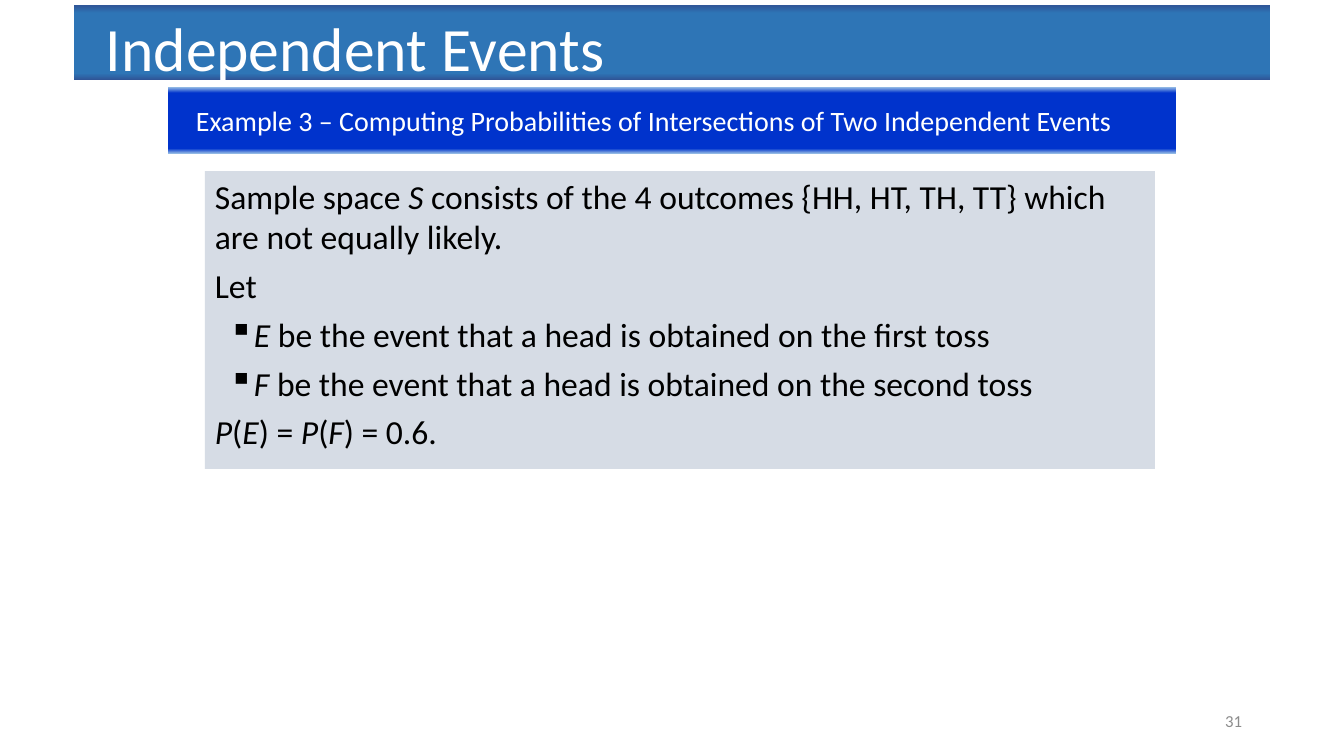
from lxml import etree
from pptx import Presentation, util as u
from pptx.dml.color import RGBColor
from pptx.enum import shapes, text
from pptx.oxml import ns

PX = 914400 / 100.8
FONT = "Calibri"
WHITE, BLACK, GREY = "FFFFFF", "000000", "8C8C8C"
PANEL_FILL = "D6DCE5"
TITLE_STOPS = [(0, "2F5597"), (11, "2E75B6"), (91, "2E75B6"), (100, "2F5597")]
EXAMPLE_STOPS = [(0, "9DC3E6"), (9, "0033CC"), (92, "0033CC"), (100, "9DC3E6")]

# Text between asterisks is italic; the flag marks a bulleted paragraph.
PROBLEM = [
    ("Sample space *S* consists of the 4 outcomes {HH, HT, TH, TT} "
     "which are not equally likely.", False),
    ("Let", False),
    ("*E* be the event that a head is obtained on the first toss", True),
    ("*F* be the event that a head is obtained on the second toss", True),
    ("*P*(*E*) = *P*(*F*) = 0.6.", False),
]


def px(length):
    return u.Emu(round(length * PX))


def color(hex_value):
    return RGBColor.from_string(hex_value)


def add_runs(paragraph, marked_text, size, hex_value):
    """Add one run per piece, with italics between asterisks."""
    for index, piece in enumerate(marked_text.split("*")):
        if piece:
            run = paragraph.add_run()
            run.text = piece
            font = run.font
            font.name, font.size = FONT, u.Pt(size)
            font.italic = index % 2 == 1
            font.color.rgb = color(hex_value)


def set_indent(paragraph, left, first=0):
    properties = paragraph._p.get_or_add_pPr()
    properties.set("marL", str(px(left)))
    properties.set("indent", str(px(first)))


def add_bullet(paragraph, character):
    properties = paragraph._p.get_or_add_pPr()
    etree.SubElement(properties, ns.qn("a:buChar")).set("char", character)


def fill_gradient(shape, stops):
    """Fill from top to bottom with (percent, colour) stops."""
    shape.fill.gradient()
    gradient = shape._element.spPr.find(ns.qn("a:gradFill"))
    stop_list = gradient.find(ns.qn("a:gsLst"))
    for stop in list(stop_list):
        stop_list.remove(stop)
    for percent, hex_value in stops:
        stop = etree.SubElement(stop_list, ns.qn("a:gs"), pos=str(percent * 1000))
        etree.SubElement(stop, ns.qn("a:srgbClr"), val=hex_value)
    gradient.find(ns.qn("a:lin")).set("ang", "5400000")


def add_rectangle(slide, left, top, width, height, anchor):
    shape = slide.shapes.add_shape(shapes.MSO_SHAPE.RECTANGLE,
                                   px(left), px(top), px(width), px(height))
    shape.shadow.inherit = False
    shape.line.fill.background()
    shape.text_frame.word_wrap = True
    shape.text_frame.vertical_anchor = anchor
    return shape


def add_banner(slide, box, stops, wording, size, indent, anchor):
    shape = add_rectangle(slide, *box, anchor)
    fill_gradient(shape, stops)
    paragraph = shape.text_frame.paragraphs[0]
    paragraph.alignment = text.PP_ALIGN.LEFT
    set_indent(paragraph, indent)
    add_runs(paragraph, wording, size, WHITE)


def add_problem_panel(slide, box, lines):
    shape = add_rectangle(slide, *box, text.MSO_ANCHOR.TOP)
    shape.fill.solid()
    shape.fill.fore_color.rgb = color(PANEL_FILL)
    frame = shape.text_frame
    for index, (wording, bulleted) in enumerate(lines):
        paragraph = frame.add_paragraph() if index else frame.paragraphs[0]
        paragraph.alignment = text.PP_ALIGN.LEFT
        paragraph.space_after = u.Pt(6)
        if bulleted:
            set_indent(paragraph, 39, -25)
            add_bullet(paragraph, "▪")
        add_runs(paragraph, wording, 24, BLACK)


def add_page_number(slide, box, number):
    frame = slide.shapes.add_textbox(*map(px, box)).text_frame
    frame.word_wrap = True
    frame.vertical_anchor = text.MSO_ANCHOR.MIDDLE
    paragraph = frame.paragraphs[0]
    paragraph.alignment = text.PP_ALIGN.RIGHT
    add_runs(paragraph, number, 12, GREY)


def main():
    presentation = Presentation()
    presentation.slide_width, presentation.slide_height = px(1344), px(756)
    slide = presentation.slides.add_slide(presentation.slide_layouts[6])
    add_page_number(slide, (950, 701, 302, 40), "31")
    add_problem_panel(slide, (205, 171, 950, 298), PROBLEM)
    add_banner(slide, (168, 87, 1008, 67), EXAMPLE_STOPS,
               "Example 3 – Computing Probabilities of Intersections "
               "of Two Independent Events", 20, 18, text.MSO_ANCHOR.MIDDLE)
    add_banner(slide, (74, 5, 1196, 75), TITLE_STOPS,
               "Independent Events", 44, 22, text.MSO_ANCHOR.TOP)
    presentation.save("out.pptx")


if __name__ == "__main__":
    main()
